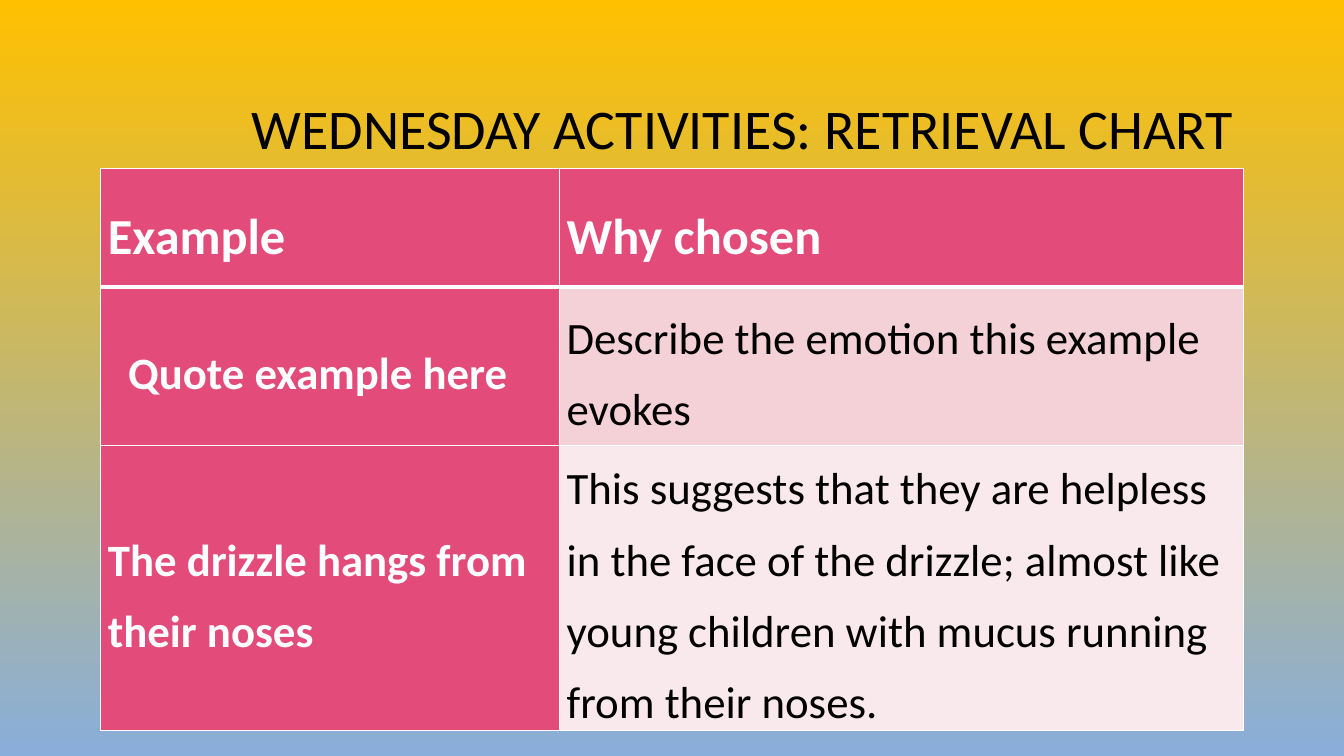
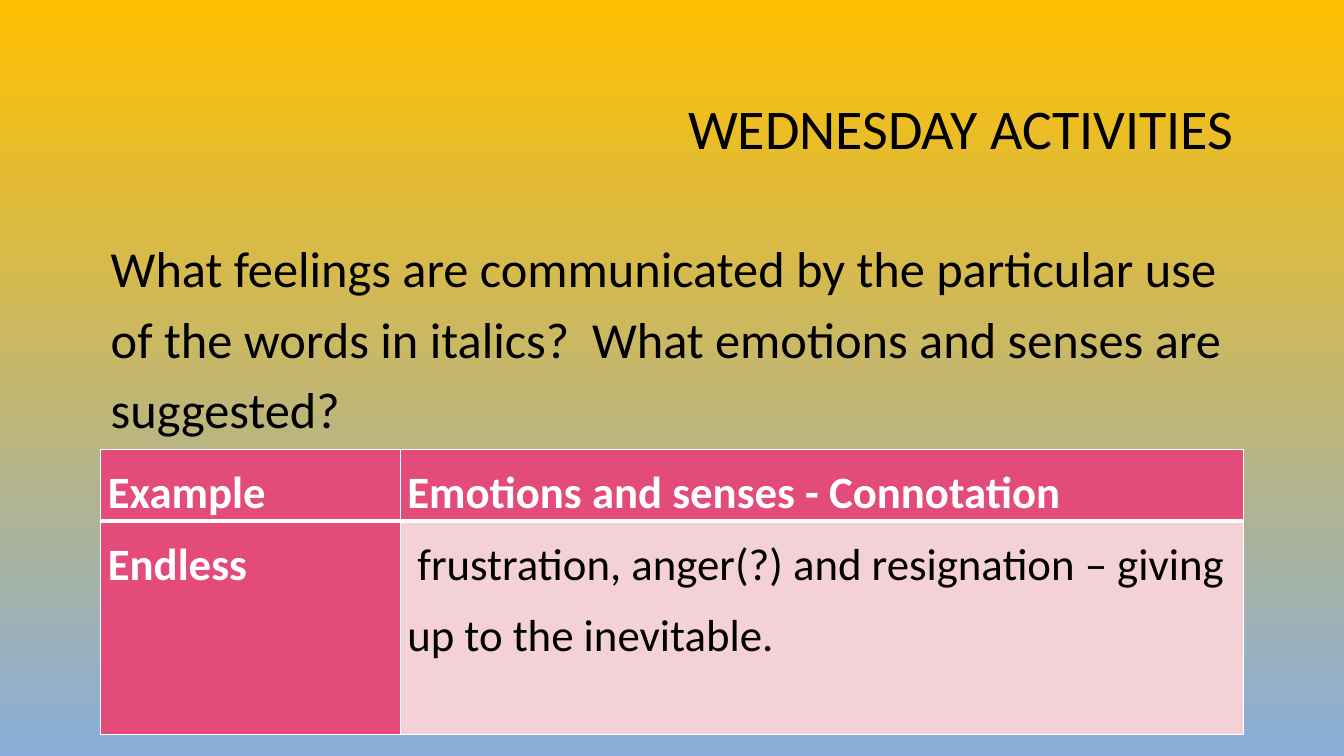
from dataclasses import dataclass

from lxml import etree
from pptx import Presentation
from pptx.dml.color import RGBColor as Rgb
from pptx.enum import text
from pptx.oxml import ns
from pptx.util import Inches, Pt


@dataclass(frozen=True)
class Theme:
    font: str = "Calibri"
    sky: tuple = ("FFC000", "89AEDB")
    ink: str = "000000"
    white: str = "FFFFFF"
    pink: str = "E34B7A"
    bands: tuple = ("F4D0D7", "FAE9EC")
    title: int = 40
    lead: int = 36
    cell: int = 32


T = Theme()
LEFT, WIDTH = Inches(1), Inches(11.33)
MID, TOP = text.MSO_ANCHOR.MIDDLE, text.MSO_ANCHOR.TOP


def write(frame, words, size, color, space, bold=False):
    frame.word_wrap = True
    para = frame.paragraphs[0]
    para.text = words
    para.line_spacing = space
    font = para.font
    font.name, font.size, font.bold = T.font, Pt(size), bold
    font.color.rgb = Rgb.from_string(color)
    return para


def edge(cell, side, width):
    line = etree.SubElement(cell._tc.get_or_add_tcPr(), ns.qn("a:ln" + side), w=str(Pt(width)))
    fill = etree.SubElement(line, ns.qn("a:solidFill"))
    etree.SubElement(fill, ns.qn("a:srgbClr"), val=T.white)


# Content: each cell is its text and first-line indent in inches
pages = [
    dict(
        title="WEDNESDAY ACTIVITIES: RETRIEVAL CHART", lead=None,
        top=1.67, cols=(4.55, 6.78), rows=(1.18, 1.57, 2.83), head=T.lead, anchor=MID,
        cells=[
            [("Example", 0), ("Why chosen", 0)],
            [("Quote example here", 0.2), ("Describe the emotion this example evokes", 0)],
            [("The drizzle hangs from their noses", 0),
             ("This suggests that they are helpless in the face of the drizzle; almost like "
              "young children with mucus running from their noses.", 0)],
        ],
    ),
    dict(
        title="WEDNESDAY ACTIVITIES",
        lead="What feelings are communicated by the particular use of the words in italics?  "
             "What emotions and senses are suggested?",
        top=4.46, cols=(2.97, 8.36), rows=(0.71, 2.12), head=T.cell, anchor=TOP,
        cells=[
            [("Example", 0), ("Emotions and senses - Connotation", 0)],
            [("Endless", 0),
             ("frustration, anger(?) and resignation – giving up to the inevitable.", 0.1)],
        ],
    ),
]

deck = Presentation()
deck.slide_width, deck.slide_height = Inches(13.33), Inches(7.5)

for page in pages:
    slide = deck.slides.add_slide(deck.slide_layouts[6])

    # Background
    back = slide.background.fill
    back.gradient()
    back.gradient_angle = 270
    for pos, (stop, tone) in enumerate(zip(back.gradient_stops, T.sky)):
        stop.position = pos
        stop.color.rgb = Rgb.from_string(tone)

    # Title
    frame = slide.shapes.add_textbox(LEFT, Inches(0.68), WIDTH, Inches(1.25)).text_frame
    frame.vertical_anchor = MID
    para = write(frame, page["title"], T.title, T.ink, 0.9)
    para.alignment = text.PP_ALIGN.RIGHT

    # Lead question
    if page["lead"]:
        box = slide.shapes.add_textbox(LEFT, Inches(2.2), WIDTH, Inches(2.25))
        write(box.text_frame, page["lead"], T.lead, T.ink, 1.17)

    # Table
    cols, rows = page["cols"], page["rows"]
    table = slide.shapes.add_table(len(rows), len(cols), LEFT, Inches(page["top"]),
                                   WIDTH, Inches(sum(rows))).table
    for col, width in zip(table.columns, cols):
        col.width = Inches(width)
    for row, height in zip(table.rows, rows):
        row.height = Inches(height)

    for r, line in enumerate(page["cells"]):
        for c, (words, indent) in enumerate(line):
            cell = table.cell(r, c)
            label = r == 0 or c == 0
            cell.margin_left = cell.margin_right = Inches(0.07)
            cell.margin_top = cell.margin_bottom = 0
            cell.vertical_anchor = page["anchor"]
            para = write(cell.text_frame, words, page["head"] if r == 0 else T.cell,
                         T.white if label else T.ink, 1.3, label)
            if indent:
                para._p.get_or_add_pPr().set("indent", str(Inches(indent)))
            # The rule under the header is heavier than the rest
            for side, width in (("L", 1), ("R", 1), ("T", 3 if r == 1 else 1),
                                ("B", 3 if r == 0 else 1)):
                edge(cell, side, width)
            cell.fill.solid()
            cell.fill.fore_color.rgb = Rgb.from_string(T.pink if label else T.bands[(r - 1) % 2])

deck.save("out.pptx")
